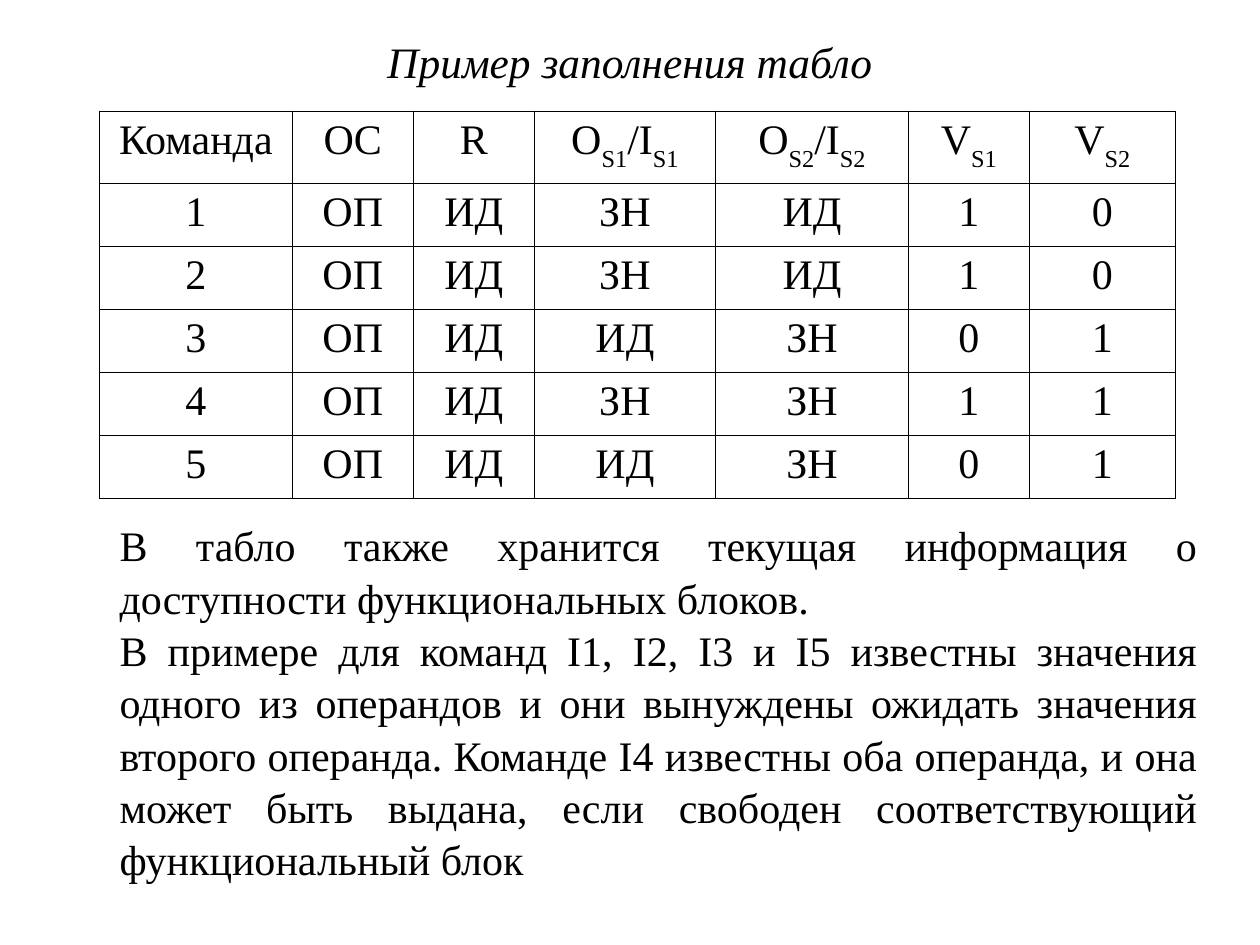
from lxml import etree
from pptx import Presentation
from pptx.dml.color import RGBColor
from pptx.enum import text
from pptx.oxml.ns import qn
from pptx.util import Inches, Pt

FONT = "Times New Roman"
BLACK = "000000"
TITLE = "Пример заполнения табло"
# Each heading alternates normal text and subscripts.
HEADER = [["Команда"], ["OC"], ["R"], ["О", "S1", "/I", "S1"],
          ["О", "S2", "/I", "S2"], ["V", "S1"], ["V", "S2"]]
ROWS = [
    ["1", "ОП", "ИД", "ЗН", "ИД", "1", "0"],
    ["2", "ОП", "ИД", "ЗН", "ИД", "1", "0"],
    ["3", "ОП", "ИД", "ИД", "ЗН", "0", "1"],
    ["4", "ОП", "ИД", "ЗН", "ЗН", "1", "1"],
    ["5", "ОП", "ИД", "ИД", "ЗН", "0", "1"],
]
NOTES = [
    "В табло также хранится текущая информация о доступности функциональных блоков.",
    "В примере для команд I1, I2, I3 и I5 известны значения одного из операндов "
    "и они вынуждены ожидать значения второго операнда. Команде I4 известны оба "
    "операнда, и она может быть выдана, если свободен соответствующий "
    "функциональный блок",
]
COL_WIDTHS = [1.53, 0.96, 0.96, 1.44, 1.53, 0.96, 1.16]
ROW_HEIGHTS = [0.54] + [0.49] * len(ROWS)


def rgb(color):
    return RGBColor.from_string(color)


def add_run(p, content, size=24, italic=False, subscript=False):
    r = p.add_run()
    r.text = content
    r.font.name, r.font.size, r.font.italic = FONT, Pt(size), italic
    r.font.color.rgb = rgb(BLACK)
    if subscript:
        r.font._element.set("baseline", "-30000")


def add_box(s, left, top, width, height, anchor):
    tf = s.shapes.add_textbox(*map(Inches, (left, top, width, height))).text_frame
    tf.word_wrap = True
    tf.vertical_anchor = anchor
    return tf


def set_borders(cell):
    tc_pr = cell._tc.get_or_add_tcPr()
    for i, side in enumerate(("lnL", "lnR", "lnT", "lnB")):
        ln = etree.Element(qn(f"a:{side}"), w=str(Pt(0.45)))
        fill = etree.SubElement(ln, qn("a:solidFill"))
        etree.SubElement(fill, qn("a:srgbClr"), val=BLACK)
        tc_pr.insert(i, ln)


def add_table(s, left, top):
    rows = [HEADER] + [[[value] for value in row] for row in ROWS]
    table = s.shapes.add_table(
        len(rows), len(COL_WIDTHS), Inches(left), Inches(top),
        Inches(sum(COL_WIDTHS)), Inches(sum(ROW_HEIGHTS))).table
    table.first_row = table.horz_banding = False
    for column, width in zip(table.columns, COL_WIDTHS):
        column.width = Inches(width)
    for row, height, values in zip(table.rows, ROW_HEIGHTS, rows):
        row.height = Inches(height)
        for cell, parts in zip(row.cells, values):
            cell.fill.background()
            set_borders(cell)
            p = cell.text_frame.paragraphs[0]
            p.alignment = text.PP_ALIGN.CENTER
            for i, part in enumerate(parts):
                add_run(p, part, subscript=i % 2 == 1)


def main():
    prs = Presentation()
    prs.slide_width, prs.slide_height = Inches(10), Inches(7.5)
    s = prs.slides.add_slide(prs.slide_layouts[6])

    p = add_box(s, 0, 0.21, 10, 0.55, text.MSO_ANCHOR.MIDDLE).paragraphs[0]
    p.alignment = text.PP_ALIGN.CENTER
    add_run(p, TITLE, size=24.8, italic=True)

    tf = add_box(s, 0.35, 4.06, 9.25, 3.07, text.MSO_ANCHOR.TOP)
    for i, note in enumerate(NOTES):
        p = tf.add_paragraph() if i else tf.paragraphs[0]
        p.alignment = text.PP_ALIGN.JUSTIFY
        p.level = 1
        p.line_spacing = 1.04
        p._p.get_or_add_pPr().set("marL", str(Inches(0.5)))
        p._p.get_or_add_pPr().set("indent", "0")
        add_run(p, note)

    add_table(s, 0.79, 0.88)
    prs.save("out.pptx")


if __name__ == "__main__":
    main()
